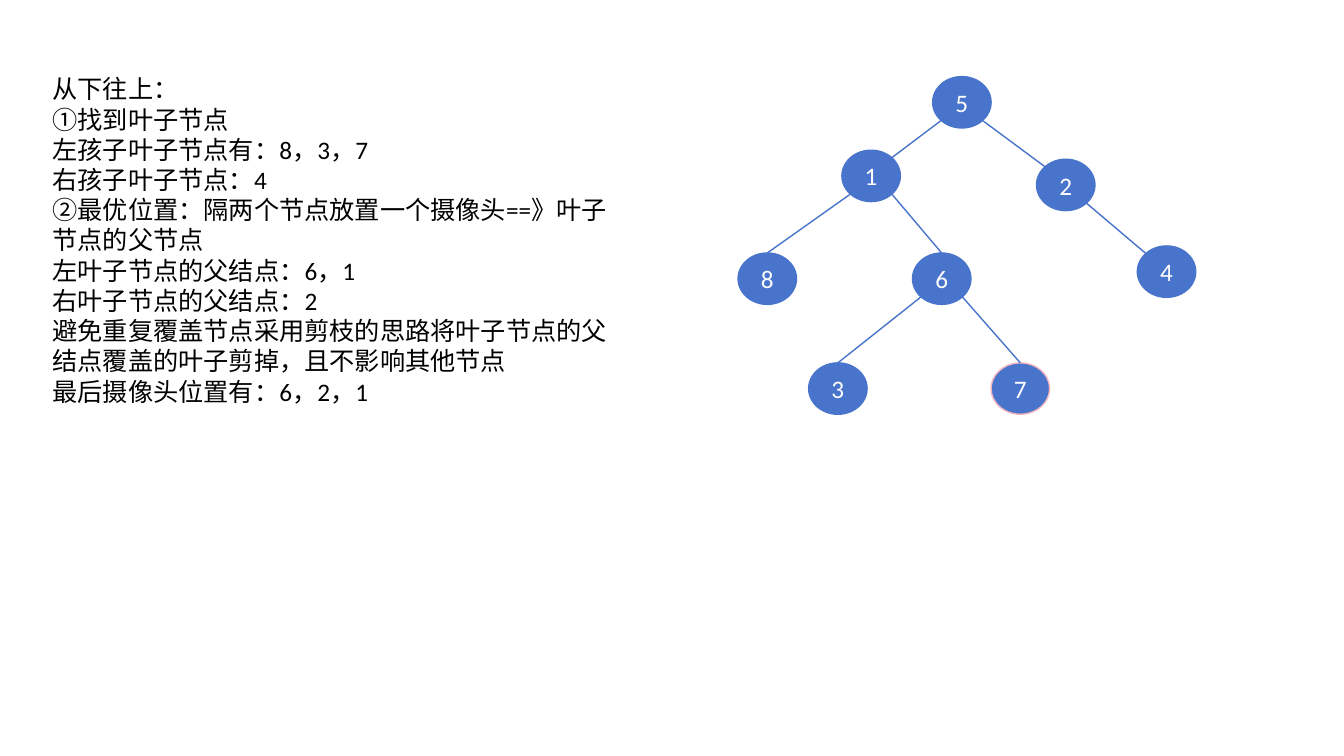
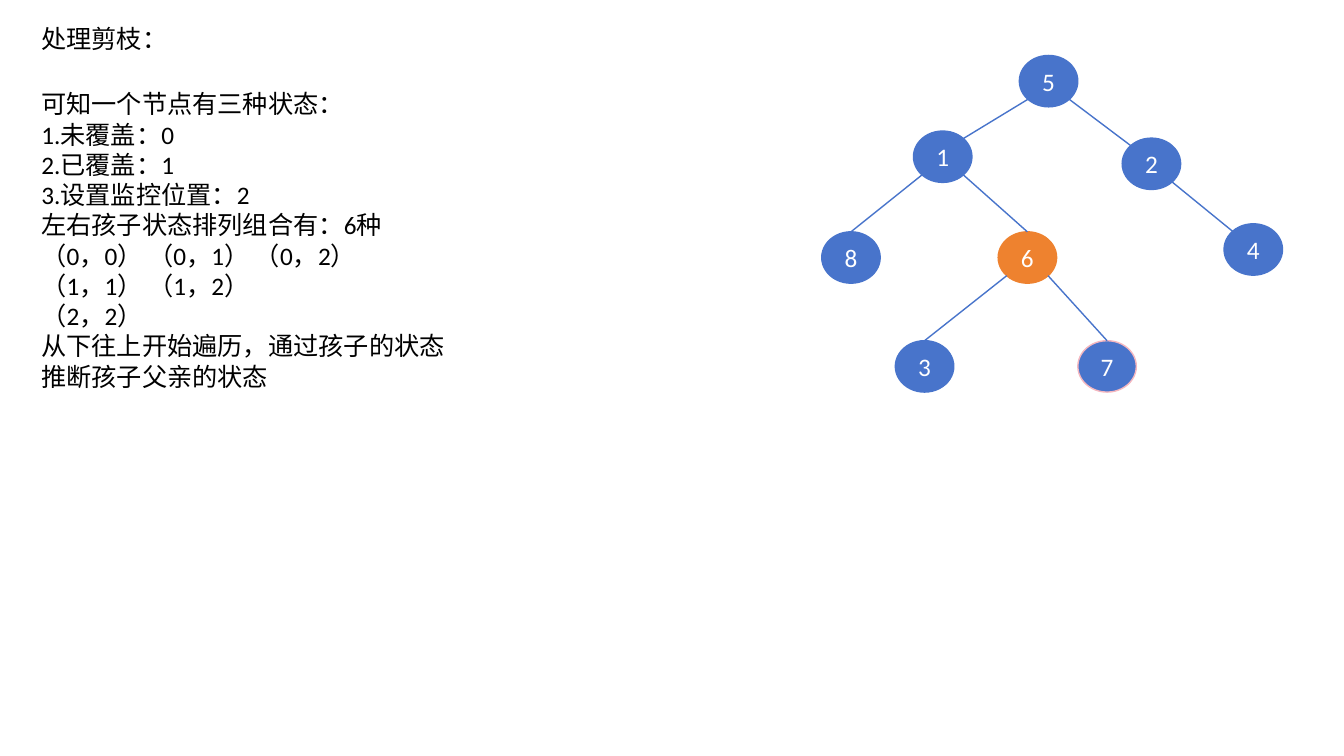
from dataclasses import dataclass

from lxml.etree import SubElement
from pptx import Presentation
from pptx.dml.color import RGBColor
from pptx.enum.lang import MSO_LANGUAGE_ID as Lang
from pptx.enum.shapes import MSO_CONNECTOR as Connector, MSO_SHAPE as Shape
from pptx.enum.text import MSO_ANCHOR as Anchor, MSO_AUTO_SIZE as AutoSize, PP_ALIGN as Align
from pptx.oxml.ns import qn
from pptx.util import Inches, Pt

COLORS = {
    "node": "4874CB",
    "camera": "EE822F",
    "outline": "F5B7BF",
    "text": "000000",
    "label": "FFFFFF",
}
FONT, TEXT_SIZE = "Calibri", 18
NODE_W, NODE_H = 0.58, 0.51
TITLE_H, BODY_H = 0.4, 3.13
DIAGONAL = 0.5 ** 0.5  # attachment points at 45 degrees on the ellipse

# Where an edge touches a node, as fractions of its half width and half height
TOP = (0, -1)
TOP_LEFT = (-DIAGONAL, -DIAGONAL)
TOP_RIGHT = (DIAGONAL, -DIAGONAL)
BOTTOM_LEFT = (-DIAGONAL, DIAGONAL)
BOTTOM_RIGHT = (DIAGONAL, DIAGONAL)


@dataclass(frozen=True)
class Edge:
    parent: int
    child: int
    leaves: tuple[float, float]
    enters: tuple[float, float]


@dataclass(frozen=True)
class TreeSlide:
    title: str
    title_top: float
    lines: list[str]
    body_top: float
    left: float
    width: float
    nodes: dict[int, tuple[float, float]]
    cameras: tuple[int, ...] = ()


EDGES = [
    Edge(5, 1, BOTTOM_LEFT, TOP_RIGHT),
    Edge(5, 2, BOTTOM_RIGHT, TOP_LEFT),
    Edge(1, 8, BOTTOM_LEFT, TOP),
    Edge(1, 6, BOTTOM_RIGHT, TOP),
    Edge(2, 4, BOTTOM_RIGHT, TOP_LEFT),
    Edge(6, 3, BOTTOM_LEFT, TOP),
    Edge(6, 7, BOTTOM_RIGHT, TOP),
]

SLIDES = [
    TreeSlide(
        title="从下往上：",
        title_top=0.68,
        lines=[
            "①找到叶子节点",
            "左孩子叶子节点有：8，3，7",
            "右孩子叶子节点：4",
            "②最优位置：隔两个节点放置一个摄像头==》叶子节点的父节点",
            "左叶子节点的父结点：6，1",
            "右叶子节点的父结点：2",
            "避免重复覆盖节点采用剪枝的思路将叶子节点的父结点覆盖的叶子剪掉，且不影响其他节点",
            "最后摄像头位置有：6，2，1",
        ],
        body_top=0.98,
        left=0.42,
        width=5.74,
        nodes={5: (9.25, 0.76), 1: (8.35, 1.49), 2: (10.28, 1.58), 8: (7.32, 2.51),
               6: (9.05, 2.51), 4: (11.28, 2.44), 3: (8.02, 3.6), 7: (9.83, 3.6)},
    ),
    TreeSlide(
        title="处理剪枝：",
        title_top=0.18,
        lines=[
            "可知一个节点有三种状态：",
            "1.未覆盖：0",
            "2.已覆盖：1",
            "3.设置监控位置：2",
            "左右孩子状态排列组合有：6种",
            "（0，0） （0，1） （0，2）",
            "（1，1） （1，2）",
            "（2，2）",
            "从下往上开始遍历，通过孩子的状态推断孩子父亲的状态",
        ],
        body_top=0.83,
        left=0.31,
        width=4.43,
        nodes={5: (10.11, 0.55), 1: (9.06, 1.3), 2: (11.13, 1.37), 8: (8.15, 2.3),
               6: (9.9, 2.3), 4: (12.14, 2.22), 3: (8.88, 3.38), 7: (10.69, 3.38)},
        cameras=(6,),
    ),
]


def color(name: str) -> RGBColor:
    return RGBColor.from_string(COLORS[name])


def style_text(frame, color_name: str, align: Align) -> None:
    for paragraph in frame.paragraphs:
        paragraph.alignment = align
        for run in paragraph.runs:
            run.font.name = FONT
            run.font.size = Pt(TEXT_SIZE)
            run.font.color.rgb = color(color_name)
            run.font.language_id = Lang.SIMPLIFIED_CHINESE


def fill_placeholder(holder, text: str, left: float, top: float,
                     width: float, height: float) -> None:
    holder.left, holder.top = Inches(left), Inches(top)
    holder.width, holder.height = Inches(width), Inches(height)
    frame = holder.text_frame
    frame.text = text
    frame.word_wrap = True
    frame.auto_size = AutoSize.NONE
    frame.vertical_anchor = Anchor.TOP
    style_text(frame, "text", Align.LEFT)
    for paragraph in frame.paragraphs:
        paragraph.space_before = Pt(0)
        # Plain lines: no bullet and no hanging indent
        properties = paragraph._p.get_or_add_pPr()
        properties.set("marL", "0")
        properties.set("indent", "0")
        SubElement(properties, qn("a:buNone"))


def add_node(slide, number: int, left: float, top: float, is_camera: bool) -> None:
    node = slide.shapes.add_shape(Shape.OVAL, Inches(left), Inches(top),
                                  Inches(NODE_W), Inches(NODE_H))
    fill = "camera" if is_camera else "node"
    node.shadow.inherit = False
    node.fill.solid()
    node.fill.fore_color.rgb = color(fill)
    node.line.color.rgb = color("outline" if number == 7 else fill)
    node.line.width = Pt(1)
    node.text_frame.text = str(number)
    node.text_frame.vertical_anchor = Anchor.MIDDLE
    style_text(node.text_frame, "label", Align.CENTER)


def attachment(corner: tuple[float, float], side: tuple[float, float]) -> tuple[Inches, Inches]:
    return (Inches(corner[0] + NODE_W / 2 * (1 + side[0])),
            Inches(corner[1] + NODE_H / 2 * (1 + side[1])))


def add_edge(slide, edge: Edge, nodes: dict[int, tuple[float, float]]) -> None:
    branch = slide.shapes.add_connector(
        Connector.STRAIGHT,
        *attachment(nodes[edge.parent], edge.leaves),
        *attachment(nodes[edge.child], edge.enters),
    )
    branch.line.color.rgb = color("node")
    branch.line.width = Pt(1)
    SubElement(branch._element.spPr, qn("a:effectLst"))


def add_tree_slide(deck, content: TreeSlide) -> None:
    slide = deck.slides.add_slide(deck.slide_layouts[1])
    # Explanation
    fill_placeholder(slide.shapes.title, content.title, content.left,
                     content.title_top, content.width, TITLE_H)
    fill_placeholder(slide.placeholders[1], "\n".join(content.lines), content.left,
                     content.body_top, content.width, BODY_H)
    # Binary tree
    for number, (left, top) in content.nodes.items():
        add_node(slide, number, left, top, number in content.cameras)
    for edge in EDGES:
        add_edge(slide, edge, content.nodes)


def main() -> None:
    deck = Presentation()
    deck.slide_width, deck.slide_height = Inches(13.33), Inches(7.5)
    for content in SLIDES:
        add_tree_slide(deck, content)
    deck.save("out.pptx")


if __name__ == "__main__":
    main()
